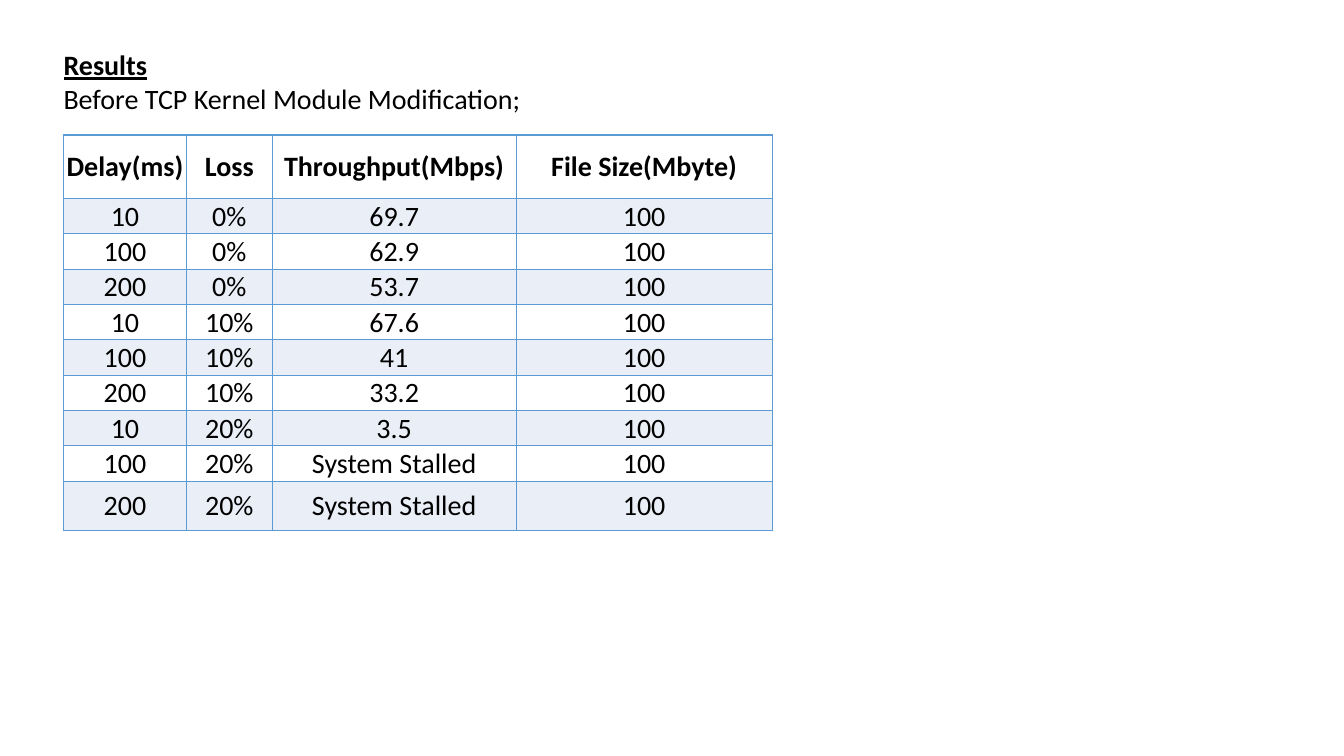
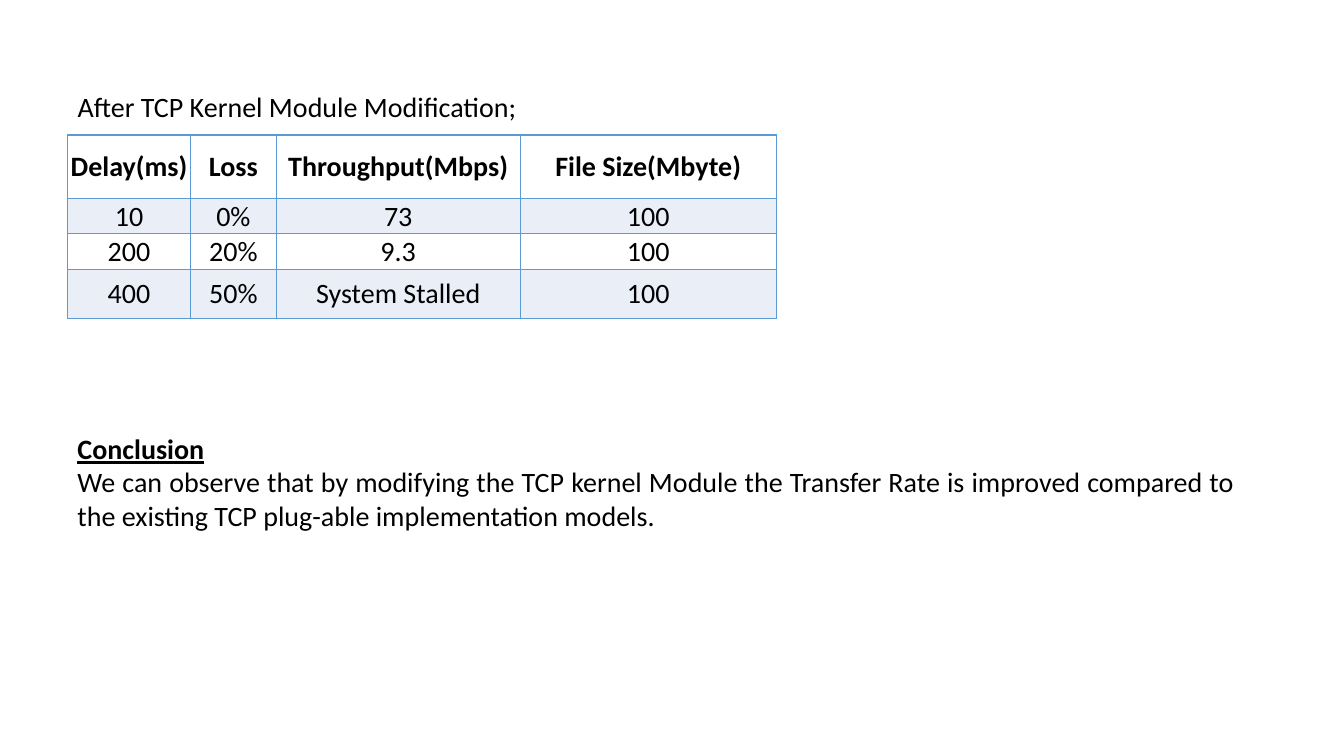
"""Build two slides of TCP throughput results with a conclusion."""
from lxml import etree
from pptx import Presentation
from pptx.dml.color import RGBColor
from pptx.enum.text import MSO_ANCHOR, MSO_AUTO_SIZE, PP_ALIGN
from pptx.oxml.ns import qn
from pptx.util import Inches, Pt

TOP, MIDDLE = MSO_ANCHOR.TOP, MSO_ANCHOR.MIDDLE
NO_FIT = MSO_AUTO_SIZE.NONE
CENTER, JUSTIFY = PP_ALIGN.CENTER, PP_ALIGN.JUSTIFY
TITLE_ONLY = 5
COLORS = {"text": "000000", "plain": "FFFFFF", "band": "EAEFF7", "border": "5B9BD5"}
FONT, SIZE = "Calibri", 20
TABLE_TOP = 1.34
COLUMN_WIDTHS = (1.22, 0.85, 2.42, 2.54)
HEADER_HEIGHT, ROW_HEIGHT, LAST_HEIGHT = 0.63, 0.34, 0.49
HEADER_RULE, RULE = 1.5, 1
FILE_SIZE = "100"
STALLED = "System Stalled"
HEADERS = ("Delay(ms)", "Loss", "Throughput(Mbps)", "File Size(Mbyte)")

SLIDES = [
    {
        "title": [("Before TCP Kernel Module Modification;", False)],
        "heading": "Results",
        "title_at": (0.53, 0.42, 11.89, 0.77),
        "table_left": 0.63,
        "results": [
            ("10", "0%", "69.7"), ("100", "0%", "62.9"), ("200", "0%", "53.7"),
            ("10", "10%", "67.6"), ("100", "10%", "41"), ("200", "10%", "33.2"),
            ("10", "20%", "3.5"), ("100", "20%", STALLED), ("200", "20%", STALLED),
        ],
    },
    {
        "title": [("After TCP Kernel Module Modification;", False)],
        "title_at": (0.67, 0.84, 6.67, 0.44),
        "table_left": 0.67,
        "results": [("10", "0%", "73"), ("200", "20%", "9.3"), ("400", "50%", STALLED)],
        "conclusion": [
            ("Conclusion", True),
            ("We can observe that by modifying the TCP kernel Module the Transfer Rate is "
             "improved compared to the existing TCP plug-able implementation models.", False),
        ],
        "conclusion_at": (0.67, 4.23, 11.67, 1.11),
    },
]


def style(paragraph, alignment, bold=False, underline=False):
    paragraph.alignment = alignment
    font = paragraph.font
    font.name, font.size = FONT, Pt(SIZE)
    font.bold, font.underline = bold, underline
    font.color.rgb = RGBColor.from_string(COLORS["text"])


def write_text(box, position, lines):
    box.left, box.top, box.width, box.height = map(Inches, position)
    frame = box.text_frame
    frame.word_wrap, frame.auto_size, frame.vertical_anchor = True, NO_FIT, TOP
    frame.text = "\n".join(text for text, _ in lines)
    for paragraph, (_, is_heading) in zip(frame.paragraphs, lines):
        style(paragraph, JUSTIFY, is_heading, is_heading)


def add_borders(cell, row):
    properties = cell._tc.get_or_add_tcPr()
    for side in "LRTB":
        header_edge = (row, side) in ((0, "B"), (1, "T"))
        width = Pt(HEADER_RULE if header_edge else RULE)
        line = etree.SubElement(properties, qn(f"a:ln{side}"), w=str(width))
        fill = etree.SubElement(line, qn("a:solidFill"))
        etree.SubElement(fill, qn("a:srgbClr"), val=COLORS["border"])


def add_results(slide, left, results):
    rows = [HEADERS] + [(*result, FILE_SIZE) for result in results]
    heights = [HEADER_HEIGHT] + [ROW_HEIGHT] * (len(rows) - 2) + [LAST_HEIGHT]
    table = slide.shapes.add_table(
        len(rows), len(HEADERS), Inches(left), Inches(TABLE_TOP),
        Inches(sum(COLUMN_WIDTHS)), Inches(sum(heights))).table
    for column, width in zip(table.columns, COLUMN_WIDTHS):
        column.width = Inches(width)
    for row, (values, height) in enumerate(zip(rows, heights)):
        table.rows[row].height = Inches(height)
        for column, value in enumerate(values):
            cell = table.cell(row, column)
            cell.text = value
            cell.vertical_anchor = MIDDLE
            cell.margin_left = cell.margin_right = cell.margin_top = Inches(0.01)
            cell.margin_bottom = 0
            style(cell.text_frame.paragraphs[0], CENTER, bold=row == 0)
            add_borders(cell, row)
            cell.fill.solid()
            color = COLORS["band" if row % 2 else "plain"]
            cell.fill.fore_color.rgb = RGBColor.from_string(color)


def main():
    deck = Presentation()
    deck.slide_width, deck.slide_height = Inches(13.33), Inches(7.5)
    for content in SLIDES:
        slide = deck.slides.add_slide(deck.slide_layouts[TITLE_ONLY])
        heading = [(content["heading"], True)] if "heading" in content else []
        write_text(slide.shapes.title, content["title_at"], heading + content["title"])
        add_results(slide, content["table_left"], content["results"])
        if "conclusion" in content:
            position = content["conclusion_at"]
            box = slide.shapes.add_textbox(*map(Inches, position))
            write_text(box, position, content["conclusion"])
    deck.save("out.pptx")


if __name__ == "__main__":
    main()
